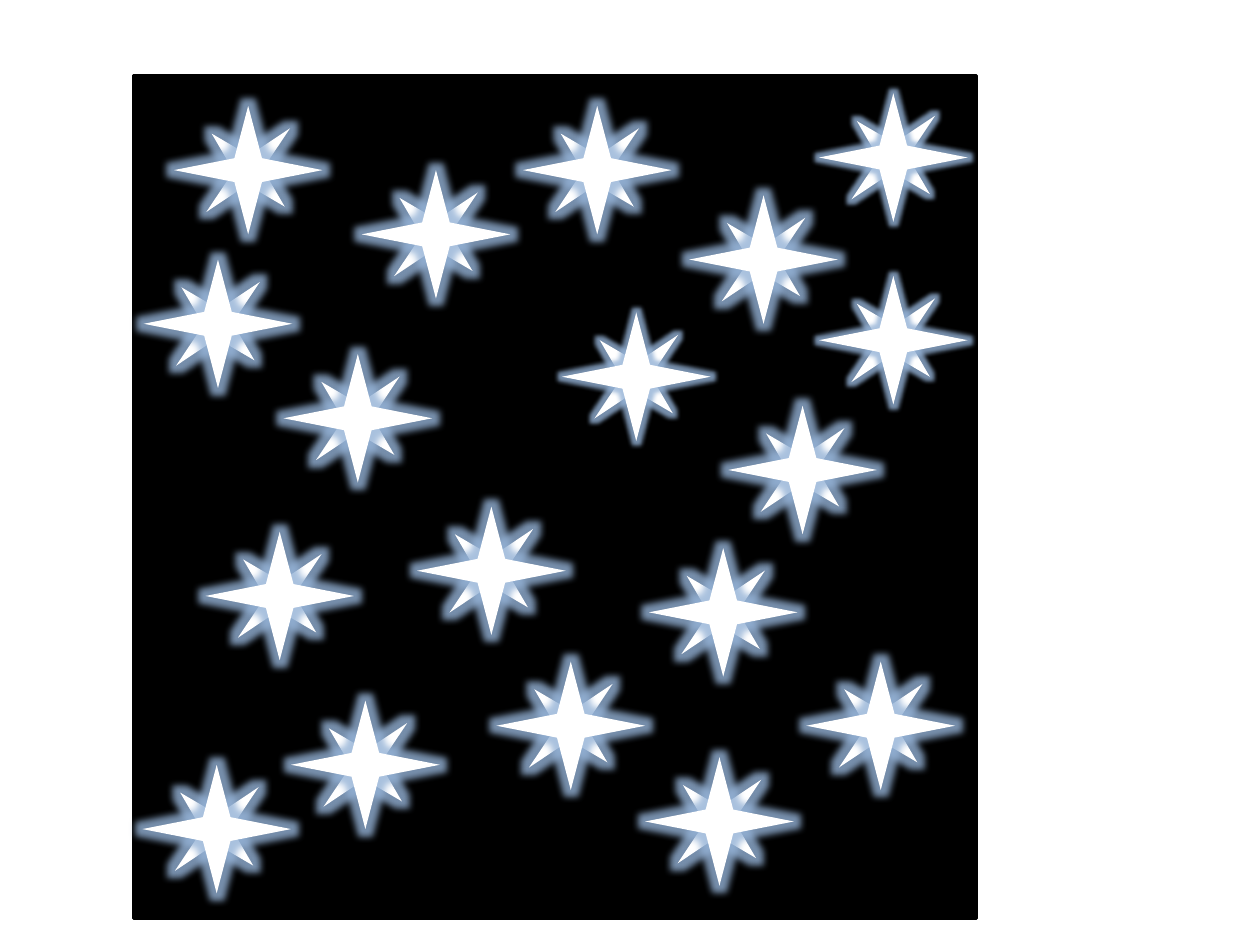
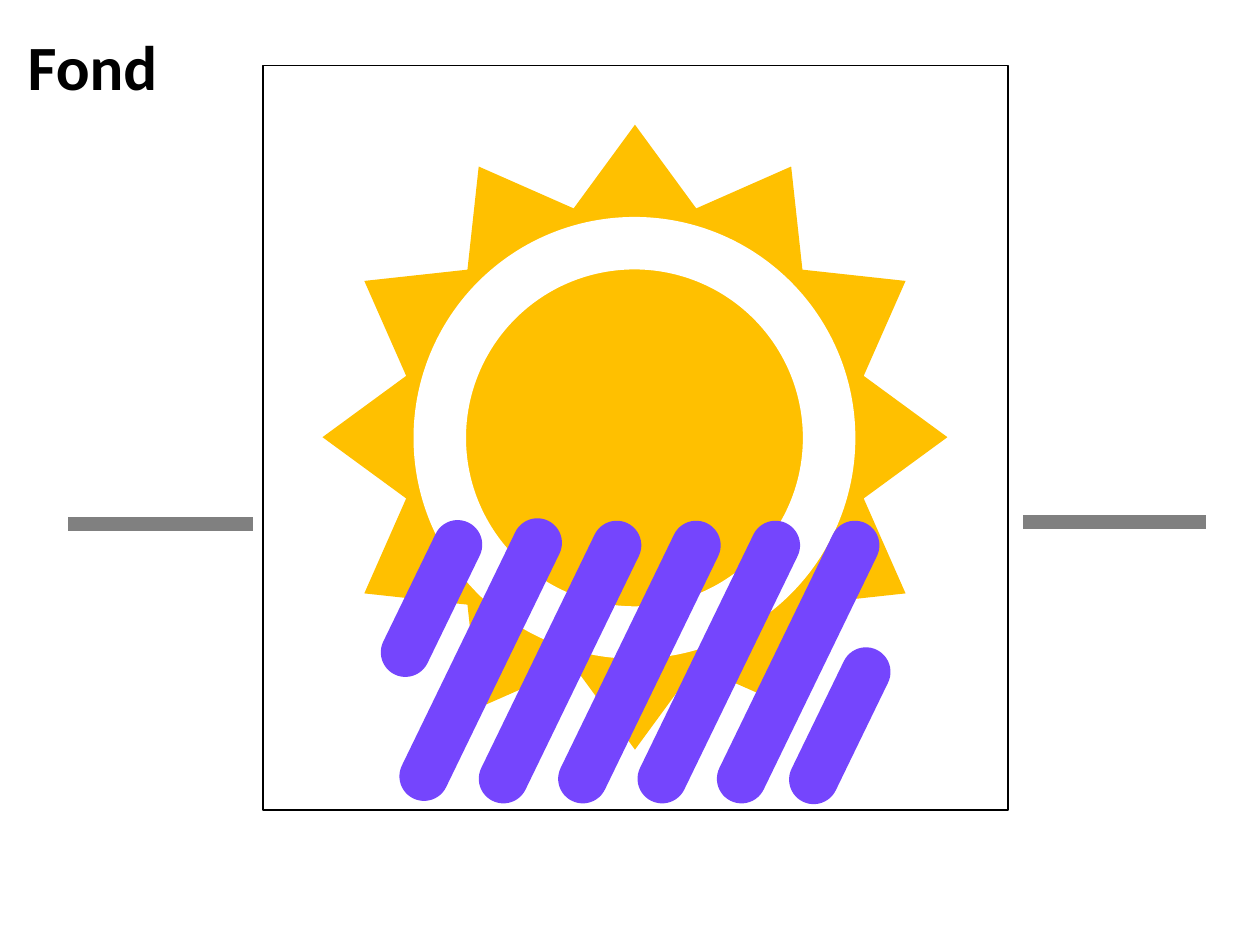
from lxml import etree
from pptx import Presentation
from pptx.dml.color import RGBColor
from pptx.enum.shapes import MSO_CONNECTOR, MSO_SHAPE
from pptx.enum.text import MSO_ANCHOR, MSO_AUTO_SIZE, PP_ALIGN
from pptx.oxml.ns import qn
from pptx.util import Emu, Pt

RECT, ROUNDED, ELLIPSE = MSO_SHAPE.RECTANGLE, MSO_SHAPE.ROUNDED_RECTANGLE, MSO_SHAPE.OVAL
STAR4, STAR12 = MSO_SHAPE.STAR_4_POINT, MSO_SHAPE.STAR_12_POINT
STRAIGHT = MSO_CONNECTOR.STRAIGHT
PX = 9144
TITLE_ONLY, BLANK = 5, 6

BLACK, WHITE, GRAY = "000000", "FFFFFF", "808080"
SUN, RAIN, HALO = "FFC000", "7545FD", "95B3D7"
TITLE_FONT = {"name": "Calibri", "size": Pt(36), "bold": True}
TITLE_FRAME = {"word_wrap": True, "auto_size": MSO_AUTO_SIZE.NONE,
               "vertical_anchor": MSO_ANCHOR.TOP}

WIDE_GLOW, NARROW_GLOW = 8, 5
STARS = [
    (138, 84, WIDE_GLOW), (287, 135, WIDE_GLOW), (415, 84, WIDE_GLOW),
    (446, 248, NARROW_GLOW), (225, 281, WIDE_GLOW), (114, 206, WIDE_GLOW),
    (163, 422, WIDE_GLOW), (331, 402, WIDE_GLOW), (231, 556, WIDE_GLOW),
    (113, 607, WIDE_GLOW), (394, 525, WIDE_GLOW), (512, 601, WIDE_GLOW),
    (515, 435, WIDE_GLOW), (578, 322, WIDE_GLOW), (547, 155, WIDE_GLOW),
    (650, 74, NARROW_GLOW), (650, 219, NARROW_GLOW), (640, 525, WIDE_GLOW),
]
SHORT_DROP, LONG_DROP = 134, 245
DROPS = [(323, 408, SHORT_DROP), (362, 401, LONG_DROP),
         *[(362 + 63 * i, 403, LONG_DROP) for i in range(1, 5)],
         (647, 509, SHORT_DROP)]


def px(*values):
    """Turn px lengths into EMU."""
    return [Emu(v * PX) for v in values]


def rgb(color):
    """Turn a hex string into a colour."""
    return RGBColor.from_string(color)


def set_all(target, values):
    """Set every attribute in a dict of format values."""
    for name, value in values.items():
        setattr(target, name, value)


def set_line(line, color, width):
    """Give a line its colour and width in points."""
    line.color.rgb = rgb(color)
    line.width = Pt(width)


def add_shape(shapes, kind, box, fill=None, line=None, adj=None, rotation=0):
    """Add a preset shape without shadow."""
    sp = shapes.add_shape(kind, *px(*box))
    sp.shadow.inherit = False
    sp.rotation = rotation
    if adj is not None:
        sp.adjustments[0] = adj
    if fill:
        sp.fill.solid()
        sp.fill.fore_color.rgb = rgb(fill)
    else:
        sp.fill.background()
    if line:
        set_line(sp.line, *line)
    else:
        sp.line.fill.background()
    return sp


def add_glow(sp, radius):
    """Surround a shape with a soft halo."""
    effects = sp._element.spPr.find(qn("a:effectLst"))
    glow = etree.SubElement(effects, qn("a:glow"), rad=str(Pt(radius)))
    color = etree.SubElement(glow, qn("a:srgbClr"), val=HALO)
    etree.SubElement(color, qn("a:alpha"), val="80000")


def add_star(slide, x, y, radius):
    """Add a glowing star made of a small turned star under a large one."""
    group = slide.shapes.add_group_shape()
    for box, rotation in (((x + 12, y + 10, 94, 82), 315), ((x, y, 118, 102), 0)):
        sp = add_shape(group.shapes, STAR4, box, WHITE, adj=0.131, rotation=rotation)
        add_glow(sp, radius)


def add_drops(slide):
    """Add the slanted rain drops as one group."""
    group = slide.shapes.add_group_shape()
    for x, y, height in DROPS:
        add_shape(group.shapes, ROUNDED, (x, y, 39, height), RAIN, adj=0.5, rotation=25.9)


def add_rule(slide, x1, x2, y):
    """Add a thick horizontal line."""
    cxn = slide.shapes.add_connector(STRAIGHT, *px(x1, y, x2, y))
    set_line(cxn.line, GRAY, 8)
    etree.SubElement(cxn._element.spPr, qn("a:effectLst"))


def set_title(slide, text, box):
    """Place and format the title placeholder."""
    title = slide.shapes.title
    set_all(title, dict(zip(("left", "top", "width", "height"), px(*box))))
    tf = title.text_frame
    set_all(tf, TITLE_FRAME)
    p = tf.paragraphs[0]
    p.alignment = PP_ALIGN.LEFT
    r = p.add_run()
    r.text = text
    set_all(r.font, TITLE_FONT)
    r.font.color.rgb = rgb(BLACK)


def build_night(prs):
    """Build the starry sky."""
    s = prs.slides.add_slide(prs.slide_layouts[BLANK])
    add_shape(s.shapes, RECT, (106, 60, 669, 669), BLACK, (BLACK, 2))
    for x, y, radius in STARS:
        add_star(s, x, y, radius)


def build_weather(prs):
    """Build the sun with rain."""
    s = prs.slides.add_slide(prs.slide_layouts[TITLE_ONLY])
    add_shape(s.shapes, STAR12, (256, 99, 496, 496), SUN, adj=0.379)
    add_shape(s.shapes, RECT, (209, 52, 591, 591), line=(BLACK, 1))
    add_rule(s, 54, 201, 416)
    add_rule(s, 812, 957, 414)
    add_shape(s.shapes, ELLIPSE, (349, 193, 309, 309), line=(WHITE, 30))
    set_title(s, "Fond", (12, 17, 150, 71))
    add_drops(s)


def main():
    """Build and save the presentation."""
    prs = Presentation()
    prs.slide_width, prs.slide_height = px(1000, 750)
    build_night(prs)
    build_weather(prs)
    prs.save("out.pptx")


if __name__ == "__main__":
    main()
